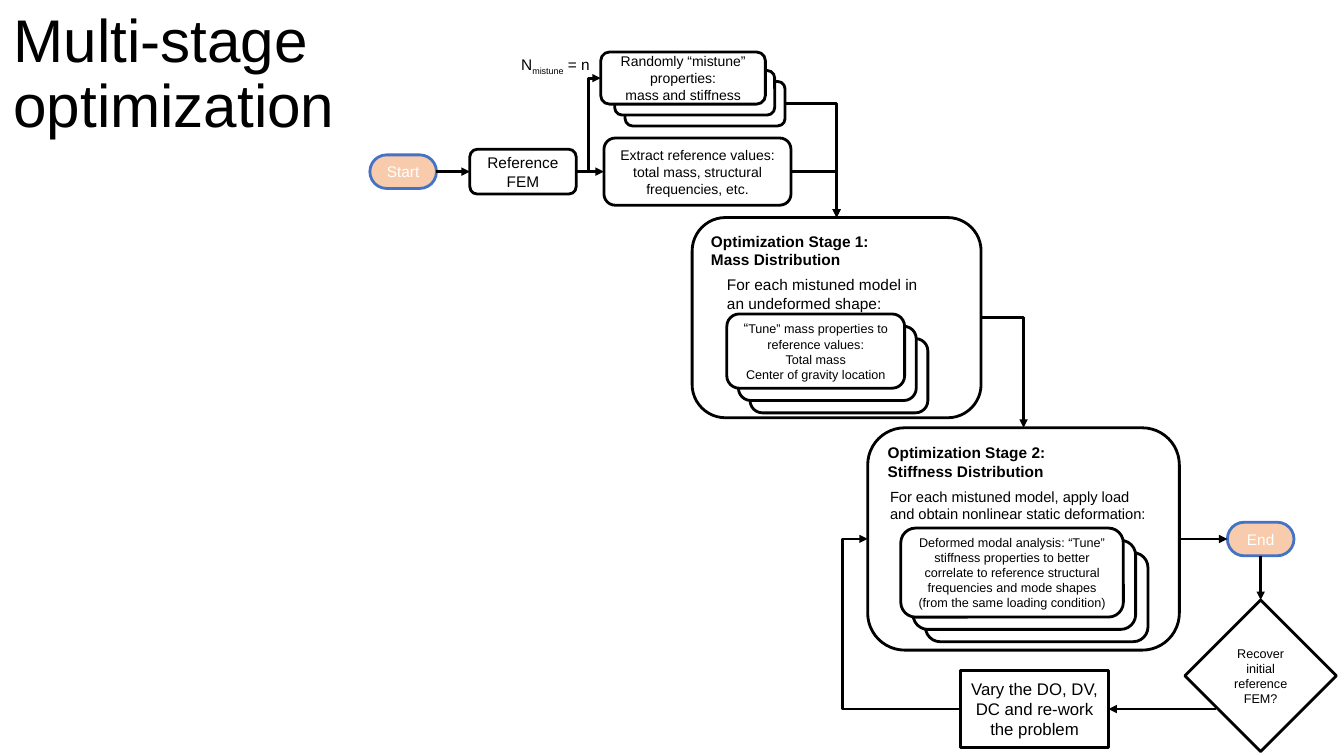
from dataclasses import dataclass
from typing import NamedTuple, Optional

import pptx
import pptx.dml.color
import pptx.enum.shapes
import pptx.enum.text
import pptx.oxml.ns
import pptx.util

Pt = pptx.util.Pt
Shape = pptx.enum.shapes.MSO_SHAPE
Connector = pptx.enum.shapes.MSO_CONNECTOR
Align = pptx.enum.text.PP_ALIGN
Anchor = pptx.enum.text.MSO_ANCHOR
qn = pptx.oxml.ns.qn

TOP, LEFT, BOTTOM, RIGHT = range(4)


@dataclass(frozen=True)
class Theme:
    font: str = "Arial"
    ink: str = "000000"
    paper: str = "FFFFFF"
    peach: str = "F8CBAD"
    blue: str = "4472C4"
    title: float = 43
    large: float = 12
    normal: float = 11
    note: float = 10.5
    small: float = 10
    tiny: float = 9


THEME = Theme()


class Frame(NamedTuple):
    left: float
    top: float
    width: float
    height: float

    def side(self, number: int) -> tuple[float, float]:
        """Middle of a side."""
        across, down = ((0.5, 0), (0, 0.5), (0.5, 1), (1, 0.5))[number]
        return self.left + across * self.width, self.top + down * self.height


class Span(NamedTuple):
    text: str
    size: float
    bold: bool = False
    subscript: bool = False


Paragraphs = tuple[tuple[Span, ...], ...]
TIGHT = (6.5, 3.2)


@dataclass(frozen=True)
class Node:
    name: str
    frame: Frame
    paragraphs: Paragraphs = ()
    preset: Optional[Shape] = Shape.ROUNDED_RECTANGLE  # None is a plain text box
    corner: Optional[float] = None
    fill: str = THEME.paper
    line: str = THEME.ink
    line_width: float = 2
    ink: str = THEME.ink
    align: Align = Align.CENTER
    anchor: Anchor = Anchor.MIDDLE
    inset: tuple[float, float] = (7.2, 3.6)
    wrap: bool = True


@dataclass(frozen=True)
class Link:
    start: str
    start_side: int
    end: str
    end_side: int
    preset: str = "line"
    width: float = 2
    bend: Optional[int] = None


def lines(size: float, *texts: str, bold: bool = False) -> Paragraphs:
    return tuple((Span(text, size, bold),) for text in texts)


def cards(name: str, front: Frame, dx: float, dy: float, count: int) -> list[Node]:
    """Blank cards, back to front, each one step further from the front frame."""
    return [Node(f"{name} {step}", front._replace(left=front.left + step * dx, top=front.top + step * dy))
            for step in range(count, 0, -1)]


def terminal(name: str, left: float, top: float) -> Node:
    return Node(name, Frame(left, top, 47.6, 24), lines(THEME.normal, name),
                corner=0.5, fill=THEME.peach, line=THEME.blue, ink=THEME.paper)


def stage(name: str, frame: Frame, *heading: str) -> Node:
    return Node(name, frame, lines(THEME.normal, *heading, bold=True),
                align=Align.LEFT, anchor=Anchor.TOP, inset=TIGHT)


def caption(name: str, frame: Frame, paragraphs: Paragraphs,
            inset: tuple[float, float] = TIGHT, wrap: bool = True) -> Node:
    return Node(name, frame, paragraphs, preset=None, align=Align.LEFT,
                anchor=Anchor.TOP, inset=inset, wrap=wrap)


MISTUNE = Frame(429.1, 37.2, 117.6, 37.2)
MISTUNE_CARD = Frame(431.7, 42.6, 114.3, 31.8)
MASS = Frame(519.2, 224.3, 127, 53)
STIFFNESS = Frame(643.4, 377.2, 159, 63.6)

NODES = [
    # Inputs
    terminal("Start", 264.2, 110.6),
    Node("Reference", Frame(335.6, 106.6, 76, 32), lines(THEME.normal, "Reference FEM")),
    Node("Extract", Frame(431.4, 98.6, 133.6, 48),
         lines(THEME.small, "Extract reference values:", "total mass, structural frequencies, etc.")),
    caption("Count", Frame(365.8, 36.2, 65.5, 19.4),
            ((Span("N", THEME.normal), Span("mistune", THEME.normal, subscript=True),
              Span(" = n", THEME.normal)),), wrap=False),
    *cards("Mistune", MISTUNE_CARD, 7.4, 7.8, 2),
    Node("Mistune", MISTUNE, lines(THEME.small, "Randomly “mistune” properties:", "mass and stiffness"),
         inset=TIGHT),
    # Stage 1
    stage("Stage 1", Frame(494.4, 155.4, 206.4, 143), "Optimization Stage 1:", "Mass Distribution"),
    *cards("Mass", MASS, 8.3, 8.8, 2),
    Node("Mass", MASS,
         ((Span("“", THEME.small), Span("Tune” mass properties to reference values:", THEME.tiny)),
          *lines(THEME.tiny, "Total mass", "Center of gravity location"))),
    caption("Mass caption", Frame(512.2, 193.3, 154, 33.8),
            lines(THEME.normal, "For each mistuned model in an undeformed shape:"), inset=(7.2, 3.6)),
    # Stage 2
    stage("Stage 2", Frame(619.8, 305.6, 222.6, 158.8), "Optimization Stage 2:", "Stiffness Distribution"),
    *cards("Stiffness", STIFFNESS, 8.8, 8.8, 2),
    Node("Stiffness", STIFFNESS,
         lines(THEME.tiny, "Deformed modal analysis: “Tune” stiffness properties to better correlate to "
               "reference structural frequencies and mode shapes (from the same loading condition)"),
         inset=TIGHT),
    caption("Stiffness caption", Frame(629.3, 345, 203.8, 31.7),
            lines(THEME.note, "For each mistuned model, apply load and obtain nonlinear static deformation:")),
    # Check and rework
    terminal("End", 876.7, 373),
    Node("Recover", Frame(846.4, 428.6, 108.2, 108.2),
         lines(THEME.tiny, "Recover initial reference FEM?"), preset=Shape.DIAMOND),
    Node("Vary", Frame(686.2, 479, 105.6, 55),
         lines(THEME.large, "Vary the DO, DV, DC and re-work the problem"),
         preset=Shape.RECTANGLE, line_width=2.25),
]

LINKS = [
    Link("Start", RIGHT, "Reference", LEFT),
    Link("Reference", RIGHT, "Extract", LEFT),
    Link("Reference", RIGHT, "Mistune", LEFT, "bentConnector3"),
    Link("Mistune 2", RIGHT, "Stage 1", TOP, "bentConnector2"),
    Link("Extract", RIGHT, "Stage 1", TOP, "bentConnector2"),
    Link("Stage 1", RIGHT, "Stage 2", TOP, "bentConnector2"),
    Link("Stage 2", RIGHT, "End", LEFT),
    Link("End", BOTTOM, "Recover", TOP),
    Link("Vary", LEFT, "Stage 2", LEFT, "bentConnector3", 1.5, 127100),
]


def color(value: str) -> pptx.dml.color.RGBColor:
    return pptx.dml.color.RGBColor.from_string(value)


def write(text_frame, paragraphs: Paragraphs, ink: str, align: Align) -> None:
    for index, spans in enumerate(paragraphs):
        para = text_frame.add_paragraph() if index else text_frame.paragraphs[0]
        para.alignment = align
        for item in spans:
            span = para.add_run()
            span.text = item.text
            span.font.name = THEME.font
            span.font.size = Pt(item.size)
            span.font.bold = item.bold
            span.font.color.rgb = color(ink)
            if item.subscript:
                span._r.get_or_add_rPr().set("baseline", "-25000")


def draw_node(page, node: Node):
    place = [Pt(length) for length in node.frame]
    if node.preset is None:
        box = page.shapes.add_textbox(*place)
    else:
        box = page.shapes.add_shape(node.preset, *place)
        box.shadow.inherit = False
        box.fill.solid()
        box.fill.fore_color.rgb = color(node.fill)
        box.line.color.rgb = color(node.line)
        box.line.width = Pt(node.line_width)
        if node.corner is not None:
            box.adjustments[0] = node.corner
    if node.paragraphs:
        frame = box.text_frame
        frame.word_wrap = node.wrap
        frame.vertical_anchor = node.anchor
        frame.margin_left = frame.margin_right = Pt(node.inset[0])
        frame.margin_top = frame.margin_bottom = Pt(node.inset[1])
        write(frame, node.paragraphs, node.ink, node.align)
    return box


def add_arrow(page, kind: Connector, width: float, *ends: float):
    arrow = page.shapes.add_connector(kind, *[Pt(length) for length in ends])
    arrow.line.color.rgb = color(THEME.ink)
    arrow.line.width = Pt(width)
    properties = arrow._element.spPr
    outline = properties.find(qn("a:ln"))
    outline.append(outline.makeelement(qn("a:tailEnd"), {"type": "triangle"}))
    properties.append(properties.makeelement(qn("a:effectLst"), {}))
    return arrow


def draw_link(page, boxes: dict, frames: dict[str, Frame], link: Link) -> None:
    kind = Connector.STRAIGHT if link.preset == "line" else Connector.ELBOW
    arrow = add_arrow(page, kind, link.width, *frames[link.start].side(link.start_side),
                      *frames[link.end].side(link.end_side))
    arrow.begin_connect(boxes[link.start], link.start_side)
    arrow.end_connect(boxes[link.end], link.end_side)
    geometry = arrow._element.spPr.find(qn("a:prstGeom"))
    geometry.set("prst", link.preset)
    if link.bend is not None:
        guide = geometry.makeelement(qn("a:gd"), {"name": "adj1", "fmla": f"val {link.bend}"})
        geometry.get_or_add_avLst().append(guide)


def draw_title(page) -> None:
    title = page.shapes.title
    title.left, title.top, title.width, title.height = Pt(2.4), Pt(4), Pt(321), Pt(104.4)
    title.text_frame.word_wrap = True
    title.text_frame.vertical_anchor = Anchor.TOP
    write(title.text_frame, lines(THEME.title, "Multi-stage optimization"), THEME.ink, Align.LEFT)
    title.text_frame.paragraphs[0].line_spacing = 0.9


def main() -> None:
    deck = pptx.Presentation()
    deck.slide_width, deck.slide_height = Pt(960), Pt(540)
    page = deck.slides.add_slide(deck.slide_layouts[5])
    draw_title(page)
    boxes = {node.name: draw_node(page, node) for node in NODES}
    frames = {node.name: node.frame for node in NODES}
    for link in LINKS:
        draw_link(page, boxes, frames, link)
    # The diamond's lower left edge leads back to the rework box
    vary_x, vary_y = frames["Vary"].side(RIGHT)
    rework = add_arrow(page, Connector.STRAIGHT, 1.5, 868.4, vary_y, vary_x, vary_y)
    rework.end_connect(boxes["Vary"], RIGHT)
    deck.save("out.pptx")


if __name__ == "__main__":
    main()
